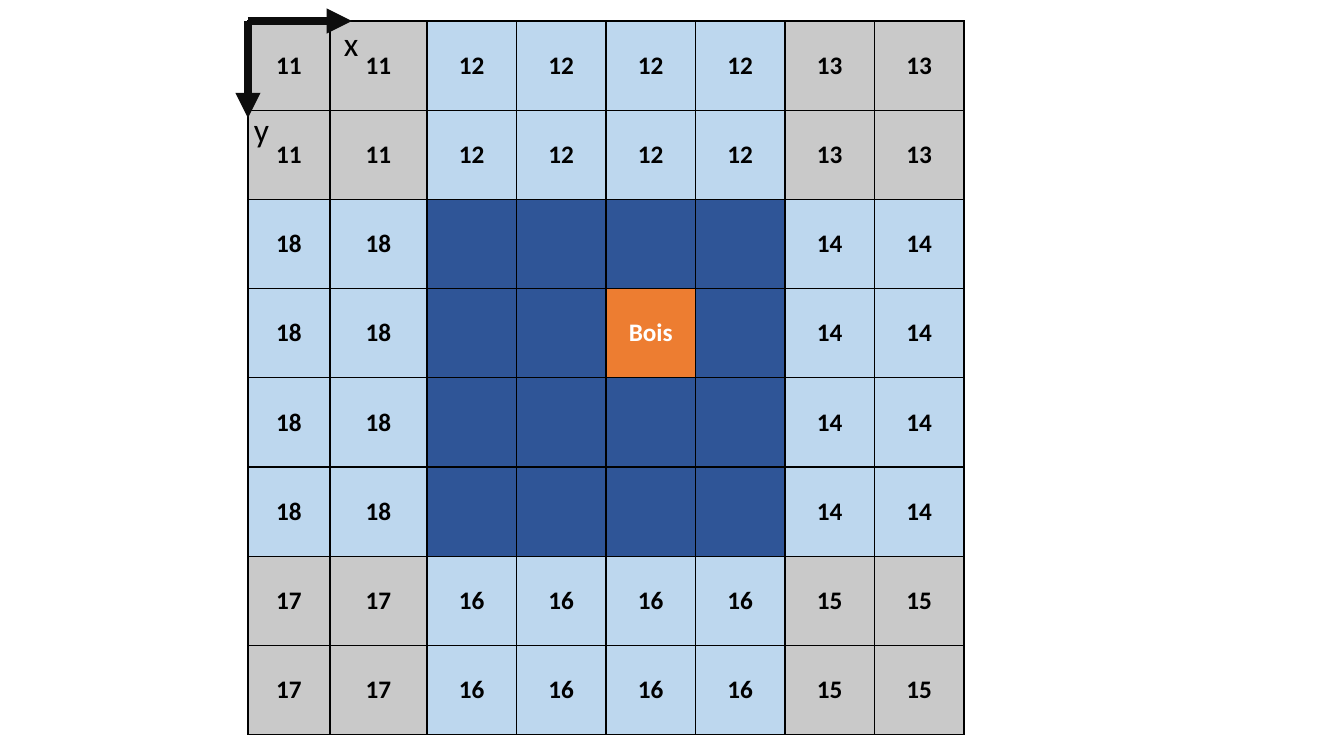
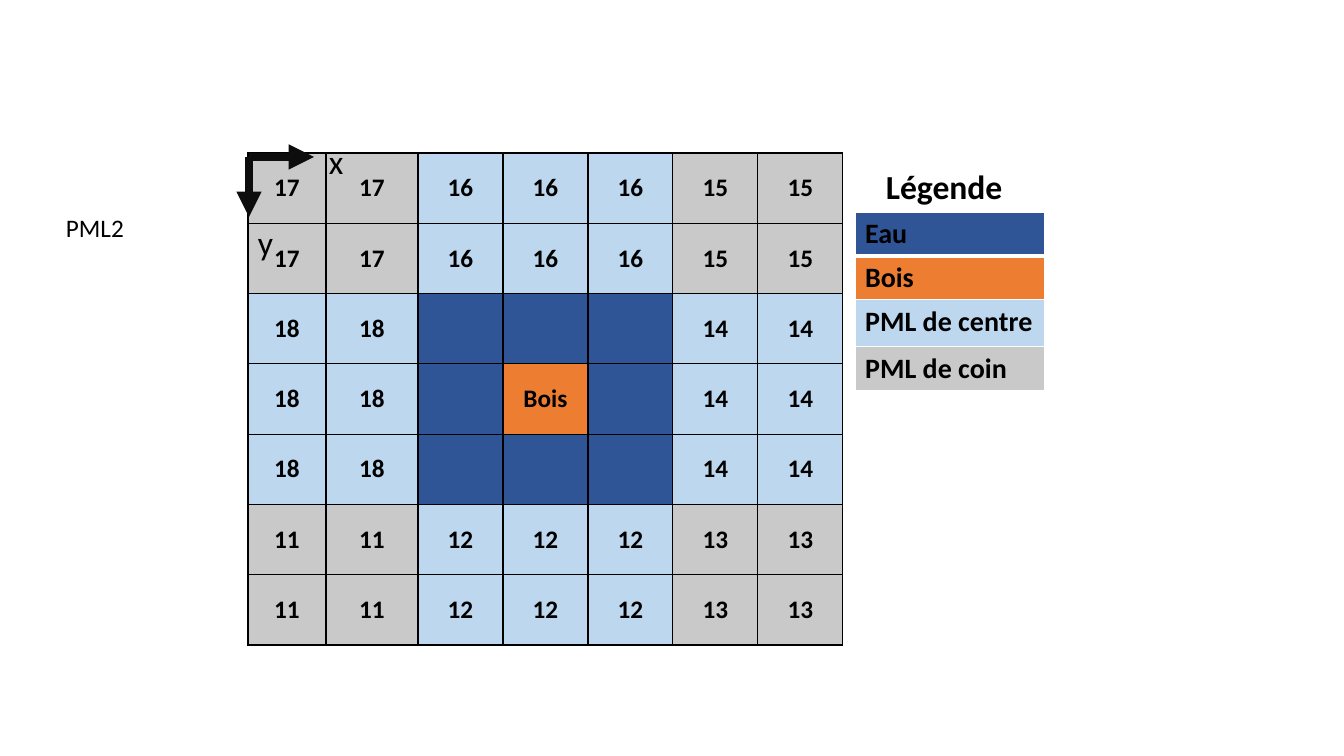
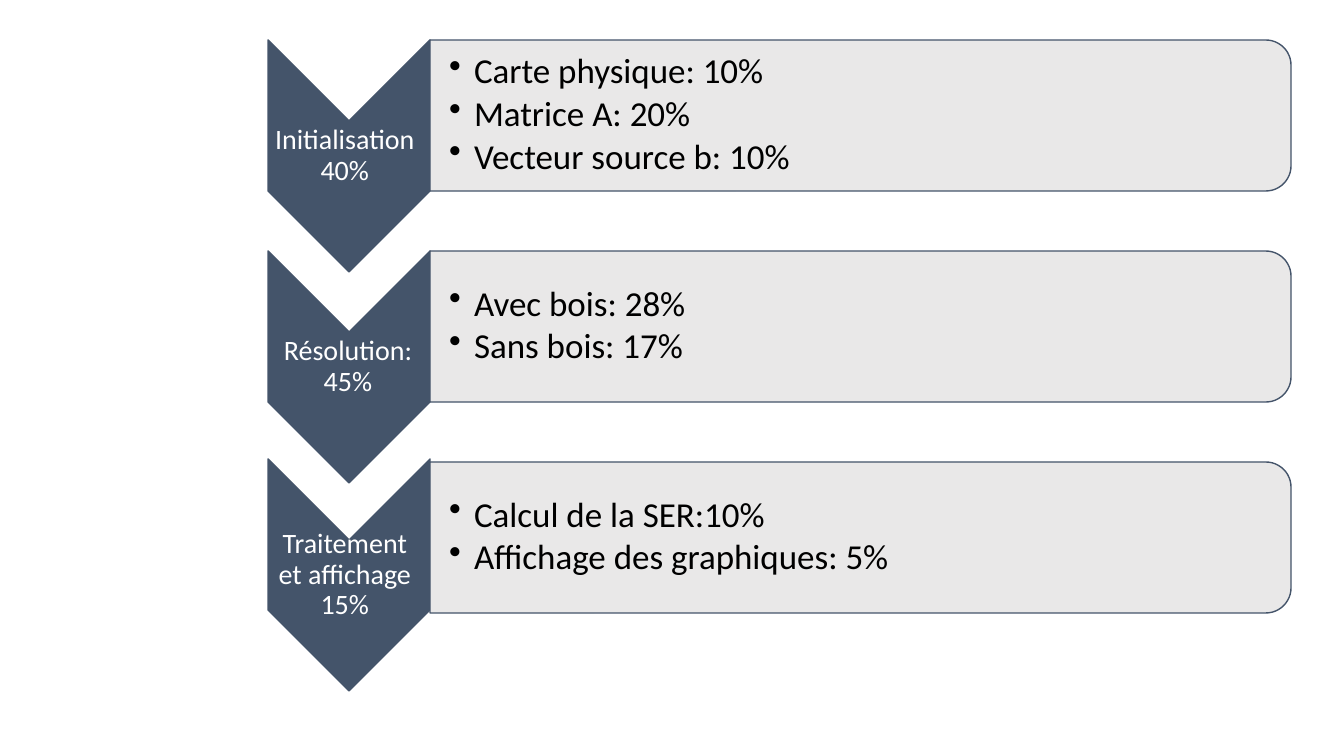
from dataclasses import dataclass

from lxml import etree
from pptx import Presentation
from pptx.dml.color import RGBColor
from pptx.enum.shapes import MSO_CONNECTOR, MSO_SHAPE
from pptx.enum.text import MSO_ANCHOR, PP_ALIGN
from pptx.oxml.ns import qn
from pptx.util import Pt

PX = 9071  # EMU per pixel
STRAIGHT = MSO_CONNECTOR.STRAIGHT
CHEVRON, PANEL = MSO_SHAPE.CHEVRON, MSO_SHAPE.ROUND_2_SAME_RECTANGLE
TOP, MIDDLE = MSO_ANCHOR.TOP, MSO_ANCHOR.MIDDLE
LEFT, CENTER = PP_ALIGN.LEFT, PP_ALIGN.CENTER


@dataclass(frozen=True)
class Theme:
    """Colours, font and type sizes shared by the slides."""
    font: str = "Calibri"
    black: str = "000000"
    white: str = "FFFFFF"
    axis: str = "0D0D0D"
    water: str = "2F5597"
    wood: str = "ED7D31"
    edge: str = "BDD7EE"
    corner: str = "C9C9C9"
    slate: str = "44546A"
    panel: str = "E7E6E6"
    body: int = 18
    step: int = 20
    legend: int = 20
    heading: int = 24
    bullet: int = 25


THEME = Theme()


def write(frame, lines, size, ink=THEME.black, bold=False, align=LEFT):
    """Write one paragraph per line, in one font, and return the paragraphs."""
    for index, line in enumerate(lines):
        para = frame.add_paragraph() if index else frame.paragraphs[0]
        para.text = line
        para.alignment = align
        para.font.name = THEME.font
        para.font.size = Pt(size)
        para.font.bold = bold
        para.font.color.rgb = RGBColor.from_string(ink)
    return frame.paragraphs


def paint(cell, fill, border, widths=(1, 1, 1, 1)):
    """Fill a cell and draw its left, right, top and bottom borders."""
    properties = cell._tc.get_or_add_tcPr()
    for side, width in zip("LRTB", widths):
        line = etree.SubElement(properties, qn(f"a:ln{side}"), w=str(Pt(width)))
        solid = etree.SubElement(line, qn("a:solidFill"))
        etree.SubElement(solid, qn("a:srgbClr"), val=border)
    cell.fill.solid()
    cell.fill.fore_color.rgb = RGBColor.from_string(fill)


deck = Presentation()
deck.slide_width, deck.slide_height = 1344 * PX, 756 * PX
blank = deck.slide_layouts[6]

# Zone grids: a frame two cells thick around the water
north, centre, south = (11, 12, 13), (18, "", 14), (17, 16, 15)
grids = [
    dict(box=(248, 21, 716, 714), count=8, lead=(82, 97), wood=(3, 4), wood_ink=THEME.white,
         zones=(north, centre, south), origin=(248, 21), tips=((352, 21), (248, 118)),
         letters={"x": (334, 18), "y": (244, 104)}),
    dict(box=(248, 153, 595, 492), count=7, lead=(78, 92), wood=(3, 3), wood_ink=THEME.black,
         zones=(south, centre, north), origin=(249, 157), tips=((314, 157), (249, 217)),
         letters={"x": (319, 136), "y": (248, 217)}),
]
for grid in grids:
    page = deck.slides.add_slide(blank)
    count = grid["count"]
    left, top, width, height = [value * PX for value in grid["box"]]
    table = page.shapes.add_table(count, count, left, top, width, height).table
    table.first_row = table.horz_banding = False
    lead = [value * PX for value in grid["lead"]]
    other = (width - sum(lead)) // (count - 2)
    for index in range(count):
        table.columns[index].width = lead[index] if index < 2 else other
        table.rows[index].height = height // count

    bands = [0, 0] + [1] * (count - 4) + [2, 2]
    for row, row_band in enumerate(bands):
        for column, column_band in enumerate(bands):
            cell = table.cell(row, column)
            label, ink = str(grid["zones"][row_band][column_band]), THEME.black
            fill = (THEME.corner, THEME.edge, THEME.water)[(row_band, column_band).count(1)]
            if (row, column) == grid["wood"]:
                label, fill, ink = "Bois", THEME.wood, grid["wood_ink"]
            paint(cell, fill, THEME.black)
            cell.vertical_anchor = MIDDLE
            write(cell.text_frame, [label], THEME.body, ink, True, CENTER)

    for tip in grid["tips"]:
        ends = [value * PX for value in grid["origin"] + tip]
        arrow = page.shapes.add_connector(STRAIGHT, *ends)
        arrow.line.width = Pt(6)
        arrow.line.color.rgb = RGBColor.from_string(THEME.axis)
        etree.SubElement(arrow.line._get_or_add_ln(), qn("a:tailEnd"), type="triangle")
        etree.SubElement(arrow._element.spPr, qn("a:effectLst"))
    for letter, (x, y) in grid["letters"].items():
        box = page.shapes.add_textbox(x * PX, y * PX, 58 * PX, 50 * PX)
        box.text_frame.word_wrap = True
        write(box.text_frame, [letter], THEME.heading)

# Legend beside the second grid
note = page.shapes.add_textbox(56 * PX, 207 * PX, 79 * PX, 72 * PX)
note.text_frame.word_wrap = False
write(note.text_frame, ["PML2"], THEME.body)
entries = [("Eau", THEME.water, 43), ("Bois", THEME.wood, 43),
           ("PML de centre", THEME.edge, 47), ("PML de coin", THEME.corner, 43)]
legend = page.shapes.add_table(len(entries), 1, 855 * PX, 212 * PX, 190 * PX, 176 * PX).table
legend.first_row = legend.horz_banding = False
for row, (name, fill, height) in enumerate(entries):
    legend.rows[row].height = height * PX
    cell = legend.cell(row, 0)
    paint(cell, fill, THEME.white, (1, 1, 3 if row == 1 else 1, 3 if row == 0 else 1))
    write(cell.text_frame, [name], THEME.legend, bold=True)
heading = page.shapes.add_textbox(876 * PX, 161 * PX, 150 * PX, 50 * PX)
heading.text_frame.word_wrap = True
write(heading.text_frame, ["Légende"], THEME.heading, bold=True)

# Progress steps: chevron top, label and details
page = deck.slides.add_slide(blank)
steps = [
    (75, "Initialisation \v40% ", ["Carte physique: 10%", "Matrice A: 20%", "Vecteur source b: 10%"]),
    (286, "Résolution: 45%", ["Avec bois: 28%", "Sans bois: 17%"]),
    (494, "Traitement \vet affichage \v15% ",
     ["Calcul de la SER:10%", "Affichage des graphiques: 5% "]),
]
for index, (chevron_top, label, details) in enumerate(steps):
    shift = index * 211
    parts = [
        (CHEVRON, (233, chevron_top, 232, 162), THEME.slate,
         (267, chevron_top + 46, 162, 70), 1, 1),
        (PANEL, (785, shift - 315, 151, 861), THEME.panel,
         (430, shift + 47, 853, 136), 19, 2),
    ]
    for kind, frame, fill, text_frame, inset, margin in parts:
        shape = page.shapes.add_shape(kind, *[value * PX for value in frame])
        shape.rotation = 90
        shape.shadow.inherit = False
        shape.fill.solid()
        shape.fill.fore_color.rgb = RGBColor.from_string(fill)
        shape.line.color.rgb = RGBColor.from_string(THEME.slate)
        shape.line.width = Pt(1)
        box = page.shapes.add_textbox(*[value * PX for value in text_frame])
        text = box.text_frame
        text.word_wrap = True
        text.vertical_anchor = MIDDLE
        text.margin_left = inset * PX
        text.margin_right = text.margin_top = text.margin_bottom = margin * PX
        if kind == CHEVRON:
            write(text, [label], THEME.step, THEME.white, align=CENTER)[0].line_spacing = 0.9
            continue
        color = shape._element.spPr.find(qn("a:solidFill"))[0]
        etree.SubElement(color, qn("a:alpha"), val="90000")
        for para in write(text, details, THEME.bullet):
            para.line_spacing = 0.9
            para.space_after = Pt(3.5)
            properties = para._p.get_or_add_pPr()
            properties.set("marL", str(25 * PX))
            properties.set("indent", str(-25 * PX))
            bullet = etree.Element(qn("a:buChar"), char="•")
            properties.find(qn("a:defRPr")).addprevious(bullet)

deck.save("out.pptx")
